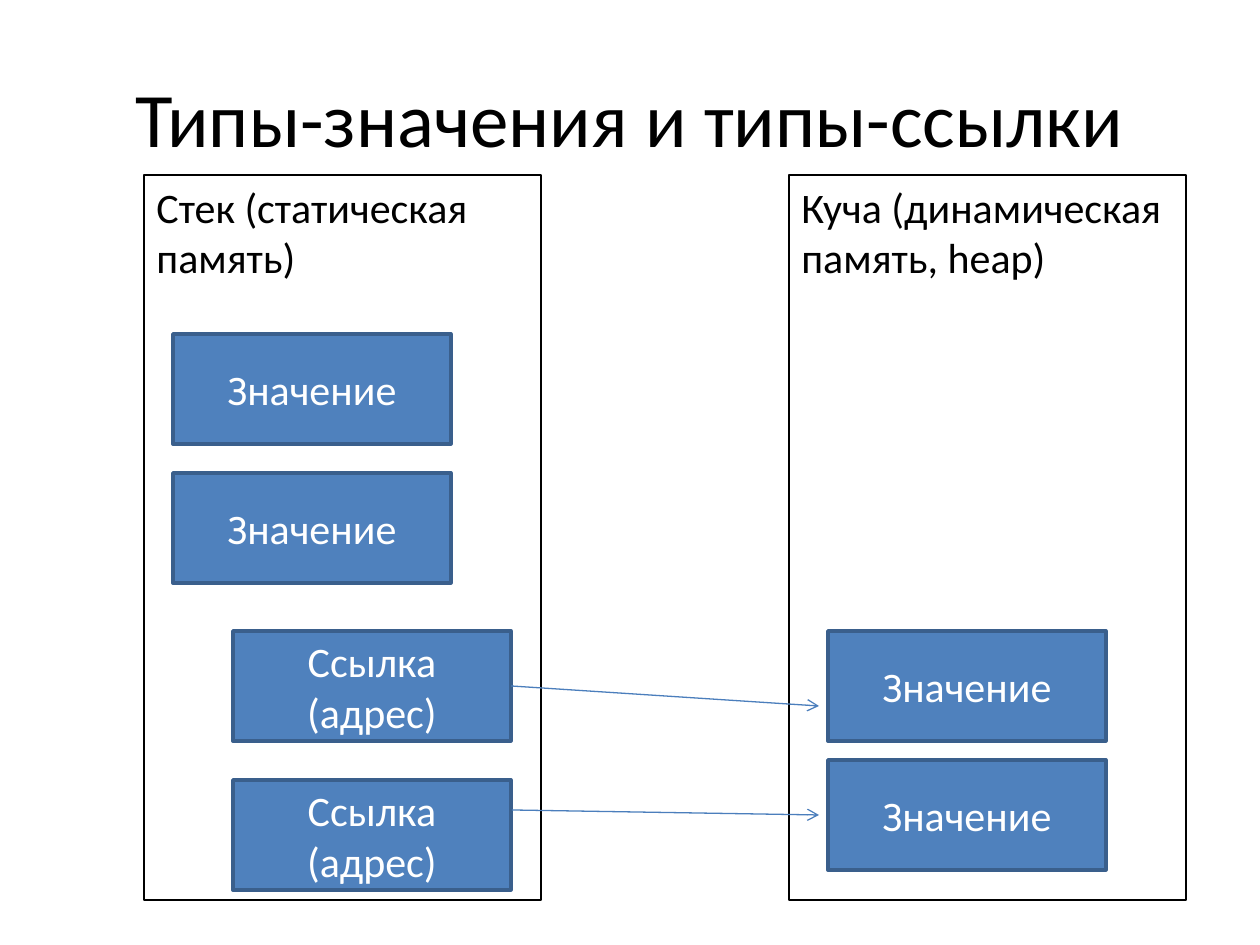
from pptx import Presentation
from pptx import util as u
from pptx.dml.color import RGBColor
from pptx.enum import shapes, text
from pptx.oxml.ns import qn
from lxml import etree

PX_PER_INCH = 126
BLACK = RGBColor(0x00, 0x00, 0x00)
WHITE = RGBColor(0xFF, 0xFF, 0xFF)
BLUE = RGBColor(0x4F, 0x81, 0xBD)
BORDER_BLUE = RGBColor(0x3A, 0x5F, 0x8C)
ARROW_BLUE = RGBColor(0x4B, 0x7E, 0xBC)

FRAME_TOP, FRAME_SIZE = 175, (397, 725)
BLOCK_SIZE = (278, 110)
VALUE_X, LINK_X, HEAP_X = 173, 233, 828
ARROW_START_X, ARROW_END_X = 512, 819


def px(*lengths):
    """Turn pixel lengths into EMU."""
    return [u.Inches(length / PX_PER_INCH) for length in lengths]


def write(holder, wording, size=24, color=BLACK,
          align=text.PP_ALIGN.LEFT, anchor=text.MSO_ANCHOR.TOP):
    """Put formatted text into a shape or text box."""
    frame = holder.text_frame
    frame.word_wrap = True
    frame.vertical_anchor = anchor
    paragraph = frame.paragraphs[0]
    paragraph.alignment = align
    run = paragraph.add_run()
    run.text = wording
    run.font.name = "Calibri"
    run.font.size = u.Pt(size)
    run.font.color.rgb = color


def add_title(slide, wording):
    """Add the centred slide title."""
    title = slide.shapes.add_textbox(*px(63, 38, 1134, 157))
    write(title, wording, size=44, align=text.PP_ALIGN.CENTER,
          anchor=text.MSO_ANCHOR.MIDDLE)


def add_rectangle(slide, left, top, size, border, border_width):
    """Add an unfilled rectangle with a border."""
    rectangle = slide.shapes.add_shape(
        shapes.MSO_SHAPE.RECTANGLE, *px(left, top, *size))
    rectangle.shadow.inherit = False
    rectangle.fill.background()
    rectangle.line.color.rgb = border
    rectangle.line.width = u.Pt(border_width)
    return rectangle


def add_memory(slide, left, wording):
    """Add the outlined frame of one memory area."""
    memory = add_rectangle(slide, left, FRAME_TOP, FRAME_SIZE, BLACK, 0.75)
    write(memory, wording)


def add_block(slide, left, top, wording):
    """Add a filled block for a value or a reference."""
    block = add_rectangle(slide, left, top, BLOCK_SIZE, BORDER_BLUE, 2)
    block.fill.solid()
    block.fill.fore_color.rgb = BLUE
    write(block, wording, color=WHITE, align=text.PP_ALIGN.CENTER,
          anchor=text.MSO_ANCHOR.MIDDLE)
    return block


def add_arrow(slide, start_y, end_y):
    """Add an arrow from a reference to its value."""
    arrow = slide.shapes.add_connector(
        shapes.MSO_CONNECTOR.STRAIGHT,
        *px(ARROW_START_X, start_y, ARROW_END_X, end_y))
    arrow.line.color.rgb = ARROW_BLUE
    arrow.line.width = u.Pt(0.75)
    properties = arrow.line._get_or_add_ln()
    etree.SubElement(properties, qn("a:tailEnd"), type="arrow")
    etree.SubElement(properties.getparent(), qn("a:effectLst"))
    return arrow


def main():
    """Build the slide and save it."""
    deck = Presentation()
    deck.slide_width, deck.slide_height = px(1260, 945)
    slide = deck.slides.add_slide(deck.slide_layouts[6])

    add_title(slide, "Типы-значения и типы-ссылки")
    add_memory(slide, 144, "Стек (статическая память)")
    add_memory(slide, 789, "Куча (динамическая память, heap)")

    for left, top in ((VALUE_X, 334), (VALUE_X, 473),
                      (HEAP_X, 631), (HEAP_X, 760)):
        add_block(slide, left, top, "Значение")
    first_link, _ = [add_block(slide, LINK_X, top, "Ссылка (адрес)")
                     for top in (631, 780)]

    first_arrow = add_arrow(slide, 686, 706)
    first_arrow.begin_connect(first_link, 3)
    add_arrow(slide, 810, 815)

    deck.save("out.pptx")


if __name__ == "__main__":
    main()
